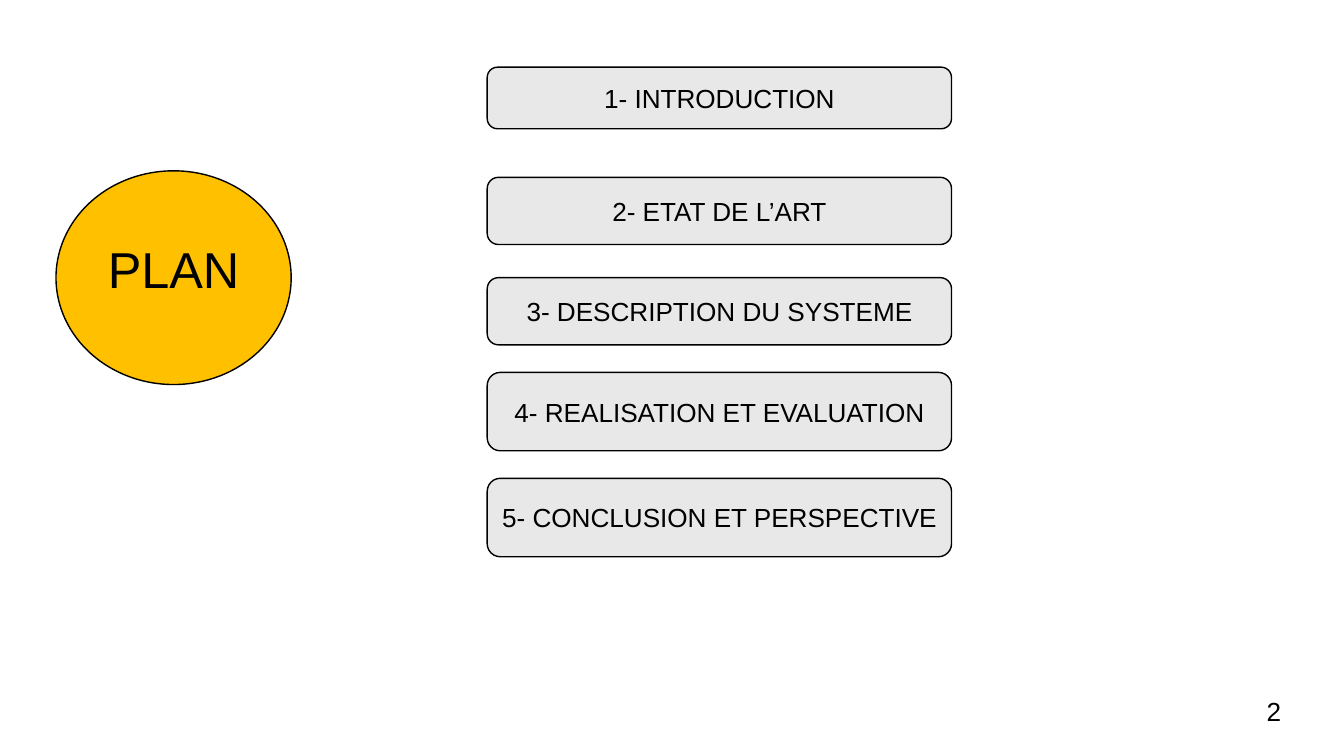
from lxml.etree import SubElement
from pptx import Presentation
from pptx.dml.color import RGBColor
from pptx.enum.shapes import MSO_SHAPE as Shape
from pptx.enum.text import MSO_ANCHOR as Anchor, PP_ALIGN as Align
from pptx.util import Pt

TITLE = "PLAN"
PAGE = "2"
SECTIONS = [
    ("INTRODUCTION", 72, 66),
    ("ETAT DE L’ART", 190, 72),
    ("DESCRIPTION DU SYSTEME", 297.5, 72),
    ("REALISATION ET EVALUATION", 399, 84),
    ("CONCLUSION ET PERSPECTIVE", 512.5, 84),
]

THEME = {
    "font": "Arial",
    "ink": RGBColor(0, 0, 0),
    "disc": RGBColor(0xFF, 0xC0, 0x00),
    "box": RGBColor(0xE8, 0xE8, 0xE8),
    "title_size": 54,
    "text_size": 28,
    "line": 1.5,
}
SLIDE_SIZE = (1440, 810)
DISC = (60, 183, 252, 229)
TITLE_RISE = 10.5
SECTION_LEFT, SECTION_WIDTH = 522, 497.5
PAGE_BOX = (1350, 741, 36, 41)


def put_text(holder, text, size=THEME["text_size"], align=Align.CENTER,
             anchor=Anchor.MIDDLE, wrap=True):
    frame = holder.text_frame
    frame.word_wrap = wrap
    frame.vertical_anchor = anchor
    paragraph = frame.paragraphs[0]
    paragraph.text = text
    paragraph.alignment = align
    paragraph.font.name = THEME["font"]
    paragraph.font.size = Pt(size)
    paragraph.font.color.rgb = THEME["ink"]


def add_outlined(slide, kind, bounds, fill):
    outlined = slide.shapes.add_shape(kind, *map(Pt, bounds))
    outlined.shadow.inherit = False
    outlined.fill.solid()
    outlined.fill.fore_color.rgb = fill
    outlined.line.color.rgb = THEME["ink"]
    outlined.line.width = Pt(THEME["line"])
    return outlined


def main():
    """Build the outline slide and save it."""
    deck = Presentation()
    deck.slide_width, deck.slide_height = map(Pt, SLIDE_SIZE)
    slide = deck.slides.add_slide(deck.slide_layouts[5])

    disc = add_outlined(slide, Shape.OVAL, DISC, THEME["disc"])
    title = slide.shapes.title
    left, top, width, height = DISC
    title.left, title.top, title.width, title.height = map(
        Pt, (left, top - TITLE_RISE, width, height))
    put_text(title, TITLE, size=THEME["title_size"])
    title._element.addprevious(disc._element)

    for number, (name, top, height) in enumerate(SECTIONS, 1):
        bounds = (SECTION_LEFT, top, SECTION_WIDTH, height)
        section = add_outlined(slide, Shape.ROUNDED_RECTANGLE, bounds, THEME["box"])
        put_text(section, f"{number}- {name}")

    page = slide.shapes.add_textbox(*map(Pt, PAGE_BOX))
    put_text(page, PAGE, align=Align.LEFT, anchor=Anchor.TOP)

    deck.save("out.pptx")


if __name__ == "__main__":
    main()
